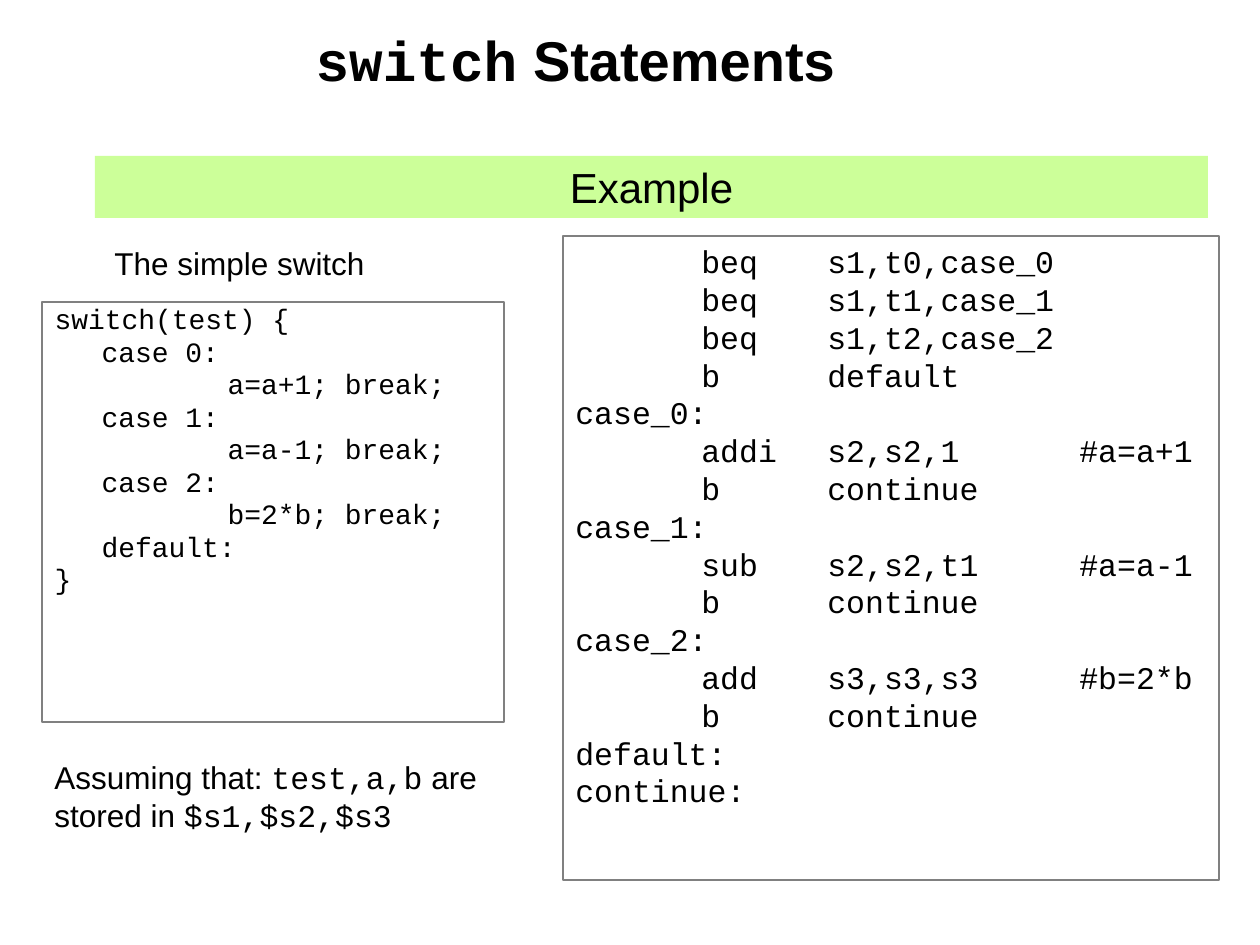
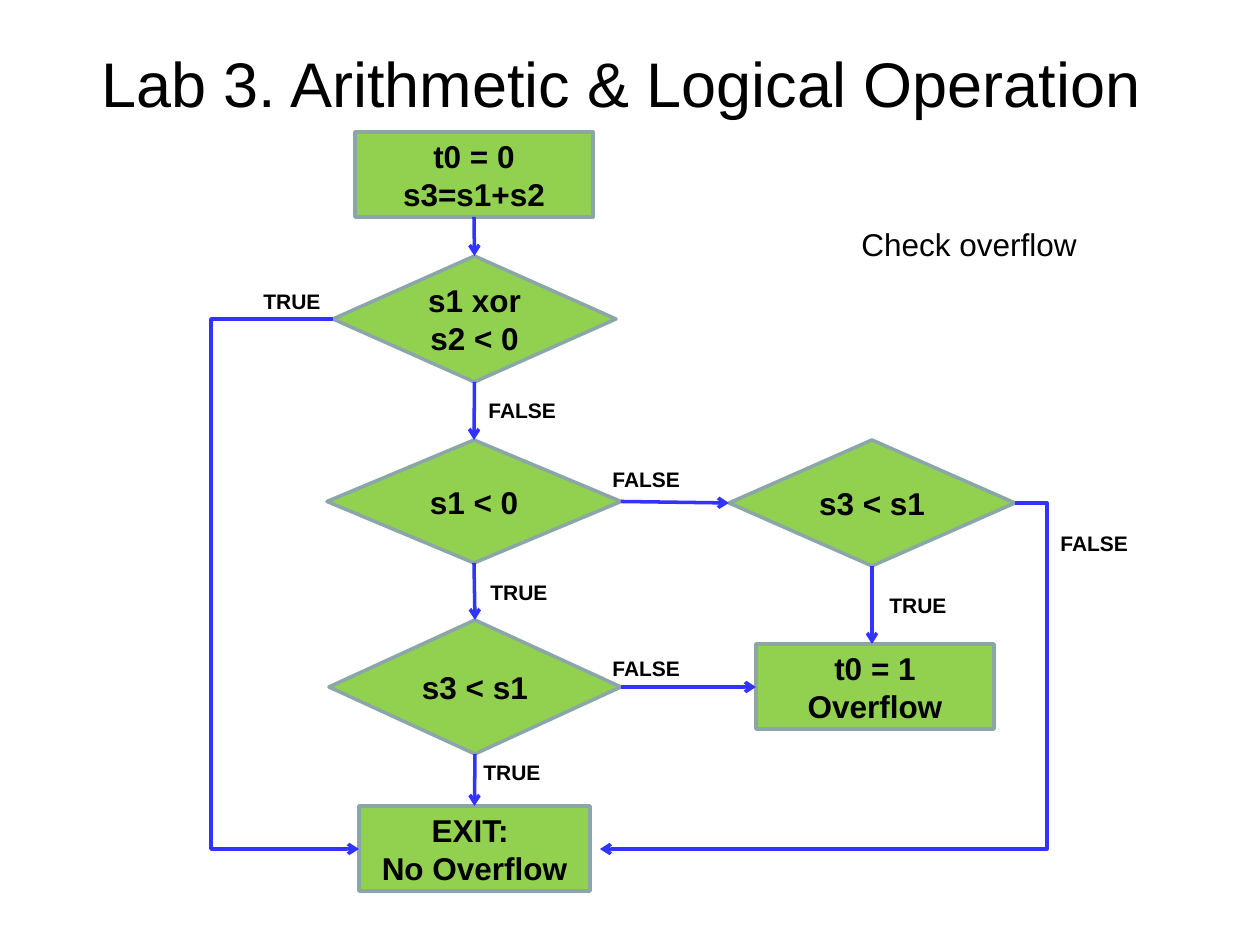
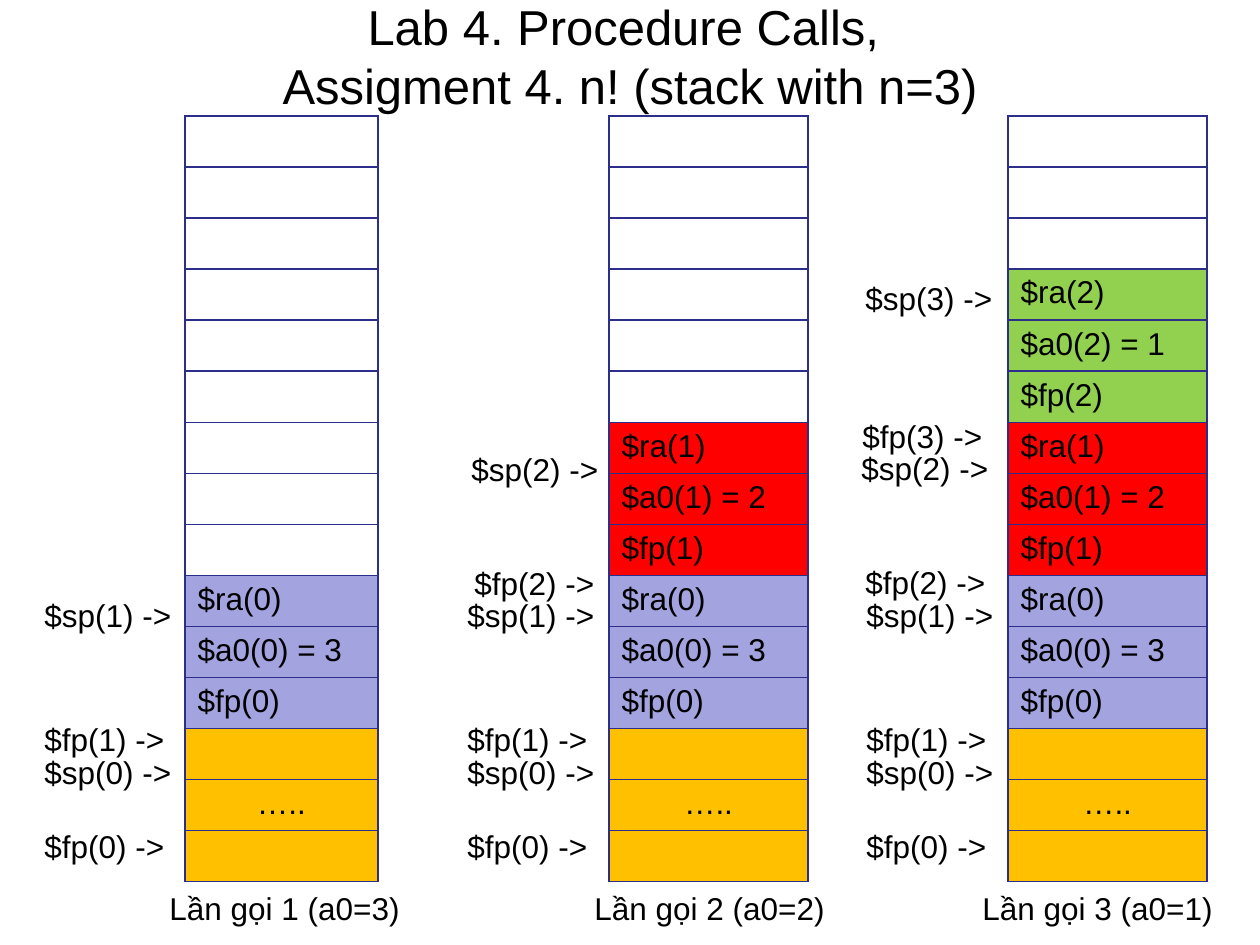
from pptx import Presentation
from pptx.dml.color import RGBColor
from pptx.enum.shapes import MSO_CONNECTOR, MSO_SHAPE
from pptx.enum.text import MSO_ANCHOR, MSO_AUTO_SIZE, PP_ALIGN
from pptx.oxml.ns import qn
from pptx.util import Emu, Pt
from lxml.etree import SubElement

PIXEL = 914400 / 126
SANS, MONO = "Arial", "Courier New"
COLOURS = {
    "text": "000000",
    "frame": "808080",
    "banner": "CCFF99",
    "node": "92D050",
    "node line": "8AA6A8",
    "arrow": "3333FF",
    "grid": "2D2D8A",
    "base": "FFC000",
    "call 0": "A3A3E0",
    "call 1": "FF0000",
    "call 2": "92D050",
}
TOP, LEFT, BOTTOM, RIGHT = range(4)
STACK_ROWS = 15

SWITCH_SOURCE = """switch(test) {
\tcase 0:
\t\ta=a+1; break;
\tcase 1:
\t\ta=a-1; break;
\tcase 2:
\t\tb=2*b; break;
\tdefault:
}"""
SWITCH_ASSEMBLY = """\tbeq\ts1,t0,case_0
\tbeq\ts1,t1,case_1
\tbeq \ts1,t2,case_2
\tb\tdefault
case_0:
\taddi\ts2,s2,1\t#a=a+1
\tb\tcontinue
case_1:
\tsub\ts2,s2,t1\t#a=a-1
\tb\tcontinue
case_2:
\tadd\ts3,s3,s3\t#b=2*b
\tb\tcontinue
default:
continue:"""


def px(value):
    return Emu(round(value * PIXEL))


def box(*values):
    return [px(value) for value in values]


def colour(name):
    return RGBColor.from_string(COLOURS[name])


def place(shape, *values):
    shape.left, shape.top, shape.width, shape.height = box(*values)


def format_paragraph(paragraph, size, name=SANS, bold=False, align=PP_ALIGN.LEFT):
    paragraph.alignment = align
    font = paragraph.font
    font.size, font.name, font.bold = Pt(size), name, bold
    font.color.rgb = colour("text")


def write(frame, text, size, **style):
    frame.text = text
    for paragraph in frame.paragraphs:
        format_paragraph(paragraph, size, **style)


def write_code(frame, text, size):
    write(frame, text, size, name=MONO)
    for paragraph in frame.paragraphs:
        paragraph._p.get_or_add_pPr().set("defTabSz", str(px(126)))


def write_mixed(frame, lines, size, **style):
    for index, pieces in enumerate(lines):
        paragraph = frame.add_paragraph() if index else frame.paragraphs[0]
        format_paragraph(paragraph, size, name=None, **style)
        for text, name in pieces:
            run = paragraph.add_run()
            run.text, run.font.name = text, name


def place_title(slide, *values):
    title = slide.shapes.title
    place(title, *values)
    title.text_frame.auto_size = MSO_AUTO_SIZE.NONE
    title.text_frame.vertical_anchor = MSO_ANCHOR.MIDDLE
    return title.text_frame


def add_label(slide, values, text, size=18, bold=False):
    label = slide.shapes.add_textbox(*box(*values))
    label.text_frame.word_wrap = False
    if text:
        write(label.text_frame, text, size, bold=bold)
    return label.text_frame


def add_panel(slide, kind, values, fill=None, line=None, width=0.75):
    shape = slide.shapes.add_shape(kind, *box(*values))
    shape.shadow.inherit = False
    if fill:
        shape.fill.solid()
        shape.fill.fore_color.rgb = colour(fill)
    else:
        shape.fill.background()
    if line:
        shape.line.color.rgb = colour(line)
        shape.line.width = Pt(width)
    else:
        shape.line.fill.background()
    return shape


def add_node(slide, kind, values, text):
    node = add_panel(slide, kind, values, "node", "node line", 2)
    write(node.text_frame, text, 18, bold=True, align=PP_ALIGN.CENTER)
    return node


def add_arrow(slide, kind, start=(0, 0), end=(0, 0)):
    arrow = slide.shapes.add_connector(kind, *box(*start, *end))
    arrow.line.color.rgb = colour("arrow")
    arrow.line.width = Pt(2)
    SubElement(arrow.line._get_or_add_ln(), qn("a:tailEnd"), type="arrow")
    SubElement(arrow._element.spPr, qn("a:effectLst"))
    return arrow


def join(slide, source, source_site, target, target_site):
    arrow = add_arrow(slide, MSO_CONNECTOR.STRAIGHT)
    arrow.begin_connect(source, source_site)
    arrow.end_connect(target, target_site)


def add_detour(slide, start, end, bend_x):
    arrow = add_arrow(slide, MSO_CONNECTOR.ELBOW, start, end)
    ratio = round(100000 * (bend_x - start[0]) / (end[0] - start[0]))
    guides = arrow._element.spPr.find(qn("a:prstGeom")).get_or_add_avLst()
    SubElement(guides, qn("a:gd"), name="adj1", fmla=f"val {ratio}")


def format_listing(paragraph):
    paragraph.line_spacing = 0.8
    paragraph.space_before = Pt(3.2)
    properties = paragraph._p.get_or_add_pPr()
    properties.set("marL", str(px(47)))
    properties.set("indent", str(-px(47)))
    bullet = SubElement(properties, qn("a:buNone"))
    properties.insert_element_before(bullet, "a:tabLst", "a:defRPr", "a:extLst")


def build_switch_slide(presentation):
    slide = presentation.slides.add_slide(presentation.slide_layouts[1])
    title = place_title(slide, 40, 16, 1071, 95)
    write_mixed(title, [[("switch", MONO), (" Statements", SANS)]], 32,
                bold=True, align=PP_ALIGN.CENTER)
    title.paragraphs[0].line_spacing = 0.9

    listing = slide.placeholders[1]
    place(listing, 42, 302, 462, 420)
    listing.line.color.rgb = colour("frame")
    listing.line.width = Pt(0.75)
    listing.text_frame.auto_size = MSO_AUTO_SIZE.NONE
    write_code(listing.text_frame, SWITCH_SOURCE, 16)
    for paragraph in listing.text_frame.paragraphs:
        format_listing(paragraph)

    assembly = add_panel(slide, MSO_SHAPE.RECTANGLE, (563, 236, 656, 644), line="frame")
    assembly.text_frame.vertical_anchor = MSO_ANCHOR.TOP
    write_code(assembly.text_frame, SWITCH_ASSEMBLY, 18)

    banner = add_panel(slide, MSO_SHAPE.RECTANGLE, (95, 156, 1113, 62), "banner")
    write(banner.text_frame, "Example", 24, align=PP_ALIGN.CENTER)

    note = add_label(slide, (42, 752, 504, 97), "")
    write_mixed(note, [
        [("Assuming that: ", SANS), ("test,a,b", MONO), (" are ", SANS)],
        [("stored in ", SANS), ("$s1,$s2,$s3", MONO)],
    ], 18)
    add_label(slide, (102, 238, 304, 54), "The simple switch")


def build_overflow_slide(presentation):
    slide = presentation.slides.add_slide(presentation.slide_layouts[5])
    write(place_title(slide, 63, 38, 1134, 88),
          "Lab 3. Arithmetic & Logical Operation ", 36, align=PP_ALIGN.CENTER)

    decision, process = MSO_SHAPE.FLOWCHART_DECISION, MSO_SHAPE.FLOWCHART_PROCESS
    start = add_node(slide, process, (355, 132, 238, 85), "t0 = 0\ns3=s1+s2")
    signs = add_node(slide, decision, (333, 256, 283, 126), "s1 xor s2 < 0")
    negative = add_node(slide, decision, (327, 440, 294, 123), "s1 < 0")
    smaller = add_node(slide, decision, (329, 620, 292, 134), "s3 < s1")
    positive_smaller = add_node(slide, decision, (729, 440, 286, 126), "s3 < s1")
    add_node(slide, process, (756, 644, 238, 85), "t0 = 1\nOverflow")
    finish = add_node(slide, process, (359, 806, 231, 85), "EXIT: \nNo Overflow")

    for source, source_site, target, target_site in (
        (start, BOTTOM, signs, TOP),
        (signs, BOTTOM, negative, TOP),
        (negative, BOTTOM, smaller, TOP),
        (smaller, BOTTOM, finish, TOP),
        (negative, RIGHT, positive_smaller, LEFT),
    ):
        join(slide, source, source_site, target, target_site)
    add_arrow(slide, MSO_CONNECTOR.STRAIGHT, (872, 566), (872, 644))
    add_arrow(slide, MSO_CONNECTOR.STRAIGHT, (621, 687), (756, 687))
    add_detour(slide, (333, 319), (359, 849), 211)
    add_detour(slide, (1015, 503), (600, 849), 1047)

    for text, width, corners in (
        ("TRUE", 83, ((251, 282), (478, 573), (471, 753), (877, 586))),
        ("FALSE", 93, ((476, 391), (600, 649), (600, 460), (1048, 524))),
    ):
        for left, top in corners:
            add_label(slide, (left, top, width, 38), text, 12, True)
    add_label(slide, (849, 219, 243, 50), "Check overflow")


def stack_cells(calls):
    cells = [("", None)] * (STACK_ROWS - 3 - 3 * calls)
    for call in reversed(range(calls)):
        for text in (f"$ra({call})", f"$a0({call}) = {3 - call}", f"$fp({call})"):
            cells.append((text, f"call {call}"))
    return cells + [("", "base"), ("…..", "base"), ("", "base")]


def add_border(cell):
    properties = cell._tc.get_or_add_tcPr()
    for position, side in enumerate(("a:lnL", "a:lnR", "a:lnT", "a:lnB")):
        line = SubElement(properties, qn(side), w=str(Pt(1)))
        fill = SubElement(line, qn("a:solidFill"))
        SubElement(fill, qn("a:srgbClr"), val=COLOURS["grid"])
        properties.insert(position, line)


def add_stack(slide, left, width, calls):
    table = slide.shapes.add_table(STACK_ROWS, 1, *box(left, 116, width, 766)).table
    table.first_row = table.horz_banding = False
    for row, (text, fill) in enumerate(stack_cells(calls)):
        cell = table.cell(row, 0)
        if fill:
            cell.fill.solid()
            cell.fill.fore_color.rgb = colour(fill)
        else:
            cell.fill.background()
        add_border(cell)
        align = PP_ALIGN.CENTER if text == "….." else PP_ALIGN.LEFT
        write(cell.text_frame, text, 18, align=align)


def add_pointer(slide, register, left, top):
    width = 146 if register.startswith("fp") else 154
    add_label(slide, (left, top, width, 50), f"${register} ->")


def build_stack_slide(presentation):
    slide = presentation.slides.add_slide(presentation.slide_layouts[5])
    write(place_title(slide, 63, 16, 1134, 78),
          "Lab 4. Procedure Calls, \vAssigment 4. n! (stack with n=3)", 28,
          align=PP_ALIGN.CENTER)

    shared_pointers = (("fp(0)", 821), ("sp(0)", 747), ("fp(1)", 714), ("sp(1)", 590))
    stacks = ((185, 193, 32, 157), (609, 199, 455, 582), (1008, 199, 854, 970))
    for calls, (left, width, pointer_left, caption_left) in enumerate(stacks, 1):
        add_stack(slide, left, width, calls)
        for register, top in shared_pointers:
            add_pointer(slide, register, pointer_left, top)
        add_label(slide, (caption_left, 883, 258, 50),
                  f"Lần gọi {calls} (a0={4 - calls})")

    for register, left, top in (
        ("fp(2)", 462, 558),
        ("sp(2)", 459, 444),
        ("fp(2)", 853, 557),
        ("sp(2)", 849, 443),
        ("fp(3)", 850, 411),
        ("sp(3)", 853, 273),
    ):
        add_pointer(slide, register, left, top)


def main():
    presentation = Presentation()
    presentation.slide_width, presentation.slide_height = box(1260, 945)
    build_switch_slide(presentation)
    build_overflow_slide(presentation)
    build_stack_slide(presentation)
    presentation.save("out.pptx")


main()
